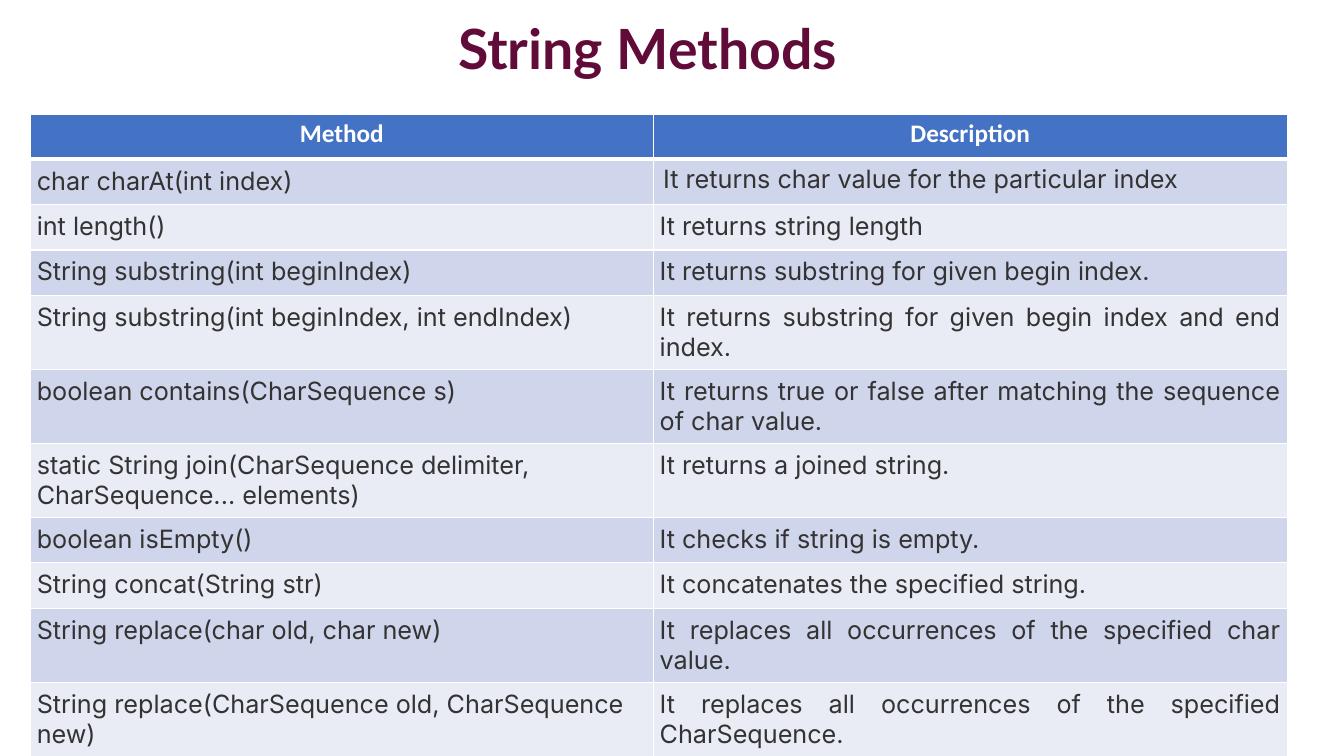
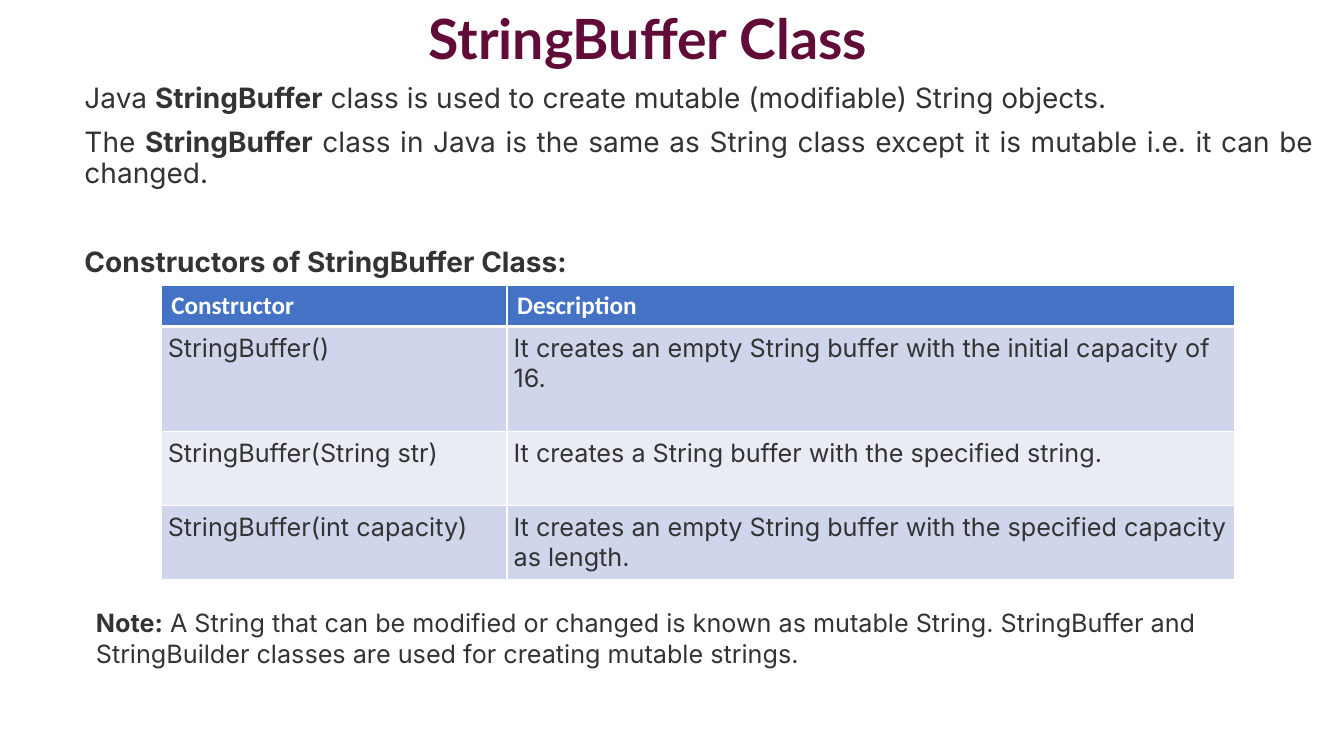
from dataclasses import dataclass

from lxml import etree
from pptx import Presentation
from pptx.dml.color import RGBColor
from pptx.enum.text import MSO_ANCHOR, PP_ALIGN
from pptx.oxml.ns import qn
from pptx.util import Emu, Inches, Pt

LEFT, CENTER, JUSTIFY = PP_ALIGN.LEFT, PP_ALIGN.CENTER, PP_ALIGN.JUSTIFY
TOP, MIDDLE = MSO_ANCHOR.TOP, MSO_ANCHOR.MIDDLE
WIDTH, HEIGHT = Inches(13.333), Inches(7.5)


@dataclass(frozen=True)
class TextStyle:
    font: str
    size: float
    color: str
    bold: bool = False


@dataclass(frozen=True)
class Theme:
    title: TextStyle = TextStyle("Lato", 39.6, "610B38", True)
    body: TextStyle = TextStyle("Inter", 20, "333333")
    small: TextStyle = TextStyle("Inter", 18, "333333")
    header: TextStyle = TextStyle("Calibri", 18, "FFFFFF", True)
    header_fill: str = "4472C4"
    band_fills: tuple = ("CFD5EA", "E9EBF5")
    border: str = "FFFFFF"
    thin: float = 1
    thick: float = 3
    cell_inset: float = 4.7
    line_spacing: float = 0.9


THEME = Theme()
TITLE_LEFT, TITLE_WIDTH, TITLE_HEIGHT = 3.3, 89.78, 9.87
SHORT_ROW, TALL_ROW = 6, 9.8

METHODS = [
    ("char charAt(int index)", "It returns char value for the particular index"),
    ("int length()", "It returns string length"),
    ("String substring(int beginIndex)", "It returns substring for given begin index."),
    ("String substring(int beginIndex, int endIndex)",
     "It returns substring for given begin index and end index."),
    ("boolean contains(CharSequence s)",
     "It returns true or false after matching the sequence of char value."),
    ("static String join(CharSequence delimiter, CharSequence... elements)",
     "It returns a joined string."),
    ("boolean isEmpty()", "It checks if string is empty."),
    ("String concat(String str)", "It concatenates the specified string."),
    ("String replace(char old, char new)",
     "It replaces all occurrences of the specified char value."),
    ("String replace(CharSequence old, CharSequence new)",
     "It replaces all occurrences of the specified CharSequence."),
]
TALL_METHODS = {4, 5, 6, 9, 10}

CONSTRUCTORS = [
    ("StringBuffer()", "It creates an empty String buffer with the initial capacity of 16."),
    ("StringBuffer(String str)", "It creates a String buffer with the specified string."),
    ("StringBuffer(int capacity)",
     "It creates an empty String buffer with the specified capacity as length."),
]


def across(percent):
    return Emu(round(WIDTH * percent / 100))


def down(percent):
    return Emu(round(HEIGHT * percent / 100))


def add_span(para, text, style, bold=False):
    span = para.add_run()
    span.text = text
    span.font.name = style.font
    span.font.size = Pt(style.size)
    span.font.bold = style.bold or bold
    span.font.color.rgb = RGBColor.from_string(style.color)


def add_text(page, left, top, width, height, paragraphs, style,
             align=LEFT, anchor=TOP, spacing=None):
    box = page.shapes.add_textbox(across(left), down(top), across(width), down(height))
    frame = box.text_frame
    frame.word_wrap = True
    frame.vertical_anchor = anchor
    for index, (space_before, spans) in enumerate(paragraphs):
        para = frame.add_paragraph() if index else frame.paragraphs[0]
        para.alignment = align
        if spacing:
            para.line_spacing = spacing
        if space_before:
            para.space_before = Pt(space_before)
        for text, bold in spans:
            add_span(para, text, style, bold)


def add_title(page, text, top):
    add_text(page, TITLE_LEFT, top, TITLE_WIDTH, TITLE_HEIGHT, [(0, [(text, True)])],
             THEME.title, CENTER, MIDDLE, THEME.line_spacing)


def set_borders(cell, top, bottom):
    properties = cell._tc.get_or_add_tcPr()
    widths = {"a:lnL": THEME.thin, "a:lnR": THEME.thin, "a:lnT": top, "a:lnB": bottom}
    for tag, width in widths.items():
        line = etree.SubElement(properties, qn(tag), w=str(Pt(width)))
        fill = etree.SubElement(line, qn("a:solidFill"))
        etree.SubElement(fill, qn("a:srgbClr"), val=THEME.border)


def fill_cell(cell, text, style, color, align):
    cell.fill.solid()
    cell.fill.fore_color.rgb = RGBColor.from_string(color)
    para = cell.text_frame.paragraphs[0]
    para.alignment = align
    add_span(para, text, style)


def set_insets(cell):
    inset = Pt(THEME.cell_inset)
    cell.margin_left = cell.margin_right = inset
    cell.margin_top = cell.margin_bottom = inset


def add_grid(page, left, top, columns, heights, header, records,
             header_align=LEFT, description_align=LEFT, wide_inset=()):
    table = page.shapes.add_table(
        len(heights), len(columns), across(left), down(top),
        across(sum(columns)), down(sum(heights))).table
    for column, width in zip(table.columns, columns):
        column.width = across(width)
    for row, height in zip(table.rows, heights):
        row.height = down(height)
    for row, record in enumerate([header, *records]):
        for column, text in enumerate(record):
            cell = table.cell(row, column)
            set_borders(cell, THEME.thick if row == 1 else THEME.thin,
                        THEME.thick if row == 0 else THEME.thin)
            if row == 0:
                fill_cell(cell, text, THEME.header, THEME.header_fill, header_align)
                continue
            default_inset = (row, column) in wide_inset
            align = description_align if column and not default_inset else LEFT
            fill_cell(cell, text, THEME.small, THEME.band_fills[(row - 1) % 2], align)
            if not default_inset:
                set_insets(cell)


def build_methods(page):
    add_title(page, "String Methods", 1.87)
    heights = [TALL_ROW if row in TALL_METHODS else SHORT_ROW
               for row in range(len(METHODS) + 1)]
    add_grid(page, 2.25, 15.07, [46.35, 47.18], heights, ("Method", "Description"),
             METHODS, CENTER, JUSTIFY, {(1, 1)})


def build_string_buffer(page):
    add_title(page, "StringBuffer Class", 0.53)
    add_text(page, 5.55, 10.53, 92.95, 25.07, [
        (0, [("Java ", False), ("StringBuffer", True),
             (" class is used to create mutable (modifiable) String objects.", False)]),
        (10, [("The ", False), ("StringBuffer", True),
              (" class in Java is the same as String class except it is mutable "
               "i.e. it can be changed.", False)]),
        (42, [("Constructors of StringBuffer Class:", True)]),
    ], THEME.body, JUSTIFY, spacing=THEME.line_spacing)
    add_grid(page, 12, 37.73, [25.73, 54.15], [5.47, 13.87, TALL_ROW, TALL_ROW],
             ("Constructor", "Description"), CONSTRUCTORS)
    add_text(page, 6.4, 79.73, 88, 9.47, [
        (0, [("Note:", True),
             (" A String that can be modified or changed is known as mutable String. "
              "StringBuffer and StringBuilder classes are used for creating mutable "
              "strings.", False)]),
    ], THEME.small)


def main():
    deck = Presentation()
    deck.slide_width, deck.slide_height = WIDTH, HEIGHT
    blank = deck.slide_layouts[6]
    for build in (build_methods, build_string_buffer):
        build(deck.slides.add_slide(blank))
    deck.save("out.pptx")


if __name__ == "__main__":
    main()
